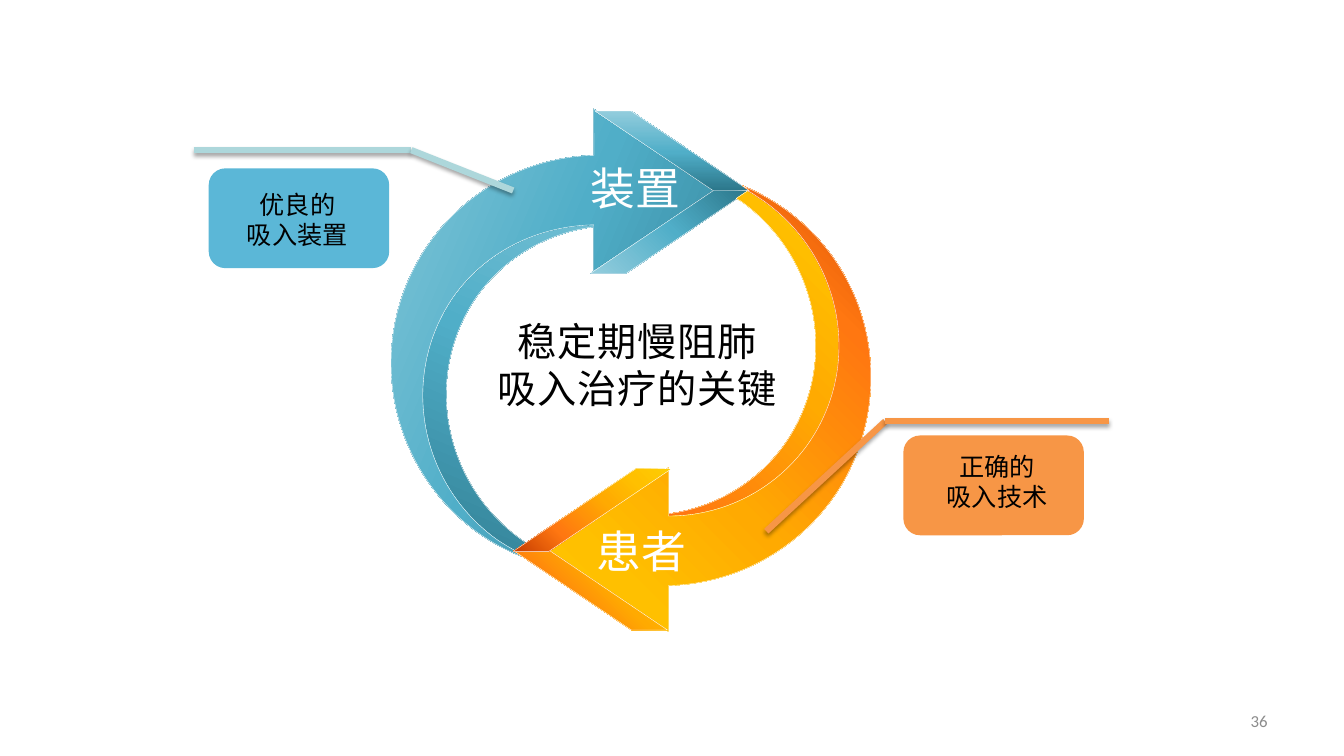
import math

import lxml.etree
import pptx
import pptx.dml.color
import pptx.enum.shapes
import pptx.enum.text
import pptx.oxml.ns
import pptx.util

Inches = pptx.util.Inches
Pt = pptx.util.Pt
qn = pptx.oxml.ns.qn
SHAPE = pptx.enum.shapes.MSO_SHAPE
ALIGN = pptx.enum.text.PP_ALIGN
ANCHOR = pptx.enum.text.MSO_ANCHOR
CJK = "Noto Sans CJK SC"


def paint(target, color):
    """Give a fill, line fill or font one solid colour, or a shape (stops, angle or focus)."""
    if isinstance(color, str):
        if hasattr(target, "solid"):
            target.solid()
            target = target.fore_color
        else:
            target = target.color
        target.rgb = pptx.dml.color.RGBColor.from_string(color)
        return
    stops, direction = color
    target.fill.gradient()
    gradient = target._element.spPr.find(qn("a:gradFill"))
    stop_list = gradient.find(qn("a:gsLst"))
    for stop in list(stop_list):
        stop_list.remove(stop)
    for position, rgb in stops:
        stop = lxml.etree.SubElement(stop_list, qn("a:gs"), pos=str(position * 1000))
        lxml.etree.SubElement(stop, qn("a:srgbClr"), val=rgb)
    if isinstance(direction, dict):
        gradient.remove(gradient.find(qn("a:lin")))
        circle = lxml.etree.SubElement(gradient, qn("a:path"), path="circle")
        lxml.etree.SubElement(circle, qn("a:fillToRect"), direction)
    else:
        target.fill.gradient_angle = (360 - direction) % 360
    target.shadow.inherit = False
    paint(target.line.fill, "FFFFFF")
    target.line.width = Pt(0.25)


def add_text(box, lines, size, color="000000", font=CJK, align=ALIGN.CENTER,
             anchor=ANCHOR.TOP, wrap=True, spacing=0):
    frame = slide.shapes.add_textbox(*map(Inches, box)).text_frame
    frame.word_wrap = wrap
    frame.vertical_anchor = anchor
    for number, line in enumerate(lines):
        paragraph = frame.add_paragraph() if number else frame.paragraphs[0]
        paragraph.alignment = align
        run = paragraph.add_run()
        run.text = line
        run.font.size = Pt(size)
        paint(run.font, color)
        run.font.name = font
        properties = run.font._element
        lxml.etree.SubElement(properties, qn("a:ea"), typeface=font)
        if spacing:
            properties.set("spc", str(spacing))


prs = pptx.Presentation()
prs.slide_width, prs.slide_height = Inches(13.33), Inches(7.5)
slide = prs.slides.add_slide(prs.slide_layouts[6])

# Outlines as seen on the slide: two numbers make a straight step, six a Bézier step
blue_inner = [
    (6.01, 1.55), (6.01, 2.24), (5.51, 2.27, 5.04, 2.51, 4.73, 2.94),
    (4.19, 3.72, 4.39, 4.8, 5.18, 5.36), (5.29, 5.44, 5.41, 5.5, 5.53, 5.55),
    (5.61, 5.58), (5.64, 5.59, 5.67, 5.6, 5.7, 5.61), (5.64, 5.59), (5.35, 5.59),
    (5.12, 5.48), (4.75, 5.25), (4.41, 4.88), (4.13, 4.2), (4.19, 4.16),
    (4.04, 3.64, 4.1, 3.07, 4.38, 2.58), (4.72, 1.99, 5.33, 1.6, 6.01, 1.55)]
blue_arrow = [
    (5.89, 1.08), (7.12, 1.9), (5.89, 2.71), (5.89, 2.23),
    (5.35, 2.24, 4.83, 2.48, 4.5, 2.94), (3.96, 3.72, 4.15, 4.8, 4.94, 5.36),
    (5.11, 5.47, 5.28, 5.56, 5.47, 5.61), (4.93, 5.49, 4.46, 5.15, 4.17, 4.66),
    (3.79, 4.02, 3.78, 3.23, 4.15, 2.58), (4.51, 1.95, 5.17, 1.56, 5.89, 1.54)]
orange_inner = [
    (7.42, 1.89), (7.76, 2.1), (8.1, 2.47), (8.39, 3.15), (8.33, 3.19),
    (8.48, 3.71, 8.41, 4.28, 8.13, 4.77), (7.79, 5.36, 7.18, 5.75, 6.5, 5.8), (6.5, 5.11),
    (7, 5.08, 7.47, 4.84, 7.78, 4.41), (8.33, 3.63, 8.13, 2.55, 7.34, 1.99), (7.3, 1.97)]
orange_arrow = [
    (7.36, 1.84), (7.77, 2.01, 8.12, 2.3, 8.35, 2.69), (8.73, 3.33, 8.73, 4.12, 8.37, 4.77),
    (8.01, 5.4, 7.35, 5.79, 6.63, 5.81), (6.63, 6.27), (5.4, 5.45), (6.63, 4.64),
    (6.63, 5.12), (7.16, 5.12, 7.68, 4.87, 8.01, 4.41), (8.56, 3.63, 8.36, 2.55, 7.57, 1.99),
    (7.52, 1.96, 7.47, 1.92, 7.41, 1.89), (7.43, 1.89)]
blues = [(0, "2C778B"), (48, "50AEC8"), (100, "93CDDD")]
oranges = [(0, "C73E01"), (27, "FF7711"), (59, "FFAA01"), (80, "FFC000"), (100, "FECE02")]
bottom_left = {"t": "100000", "r": "100000"}
top_right = {"l": "100000", "b": "100000"}

# Each arrow: inner band, face, then the two bevels of its head
arrows = [
    (blues, 293, [(blue_inner, (3.33, 2.21, 3.98, 2.41), 0),
                  (blue_arrow, (3.05, 1.94, 4.36, 2.48), 270)],
     0, [((5.9, 1.1), 270), ((5.86, 1.89), 135)]),
    (oranges, 113, [(orange_inner, (5.46, 3.11, 3.96, 1.87), bottom_left),
                    (orange_arrow, (5.11, 2.94, 4.36, 2.48), top_right)],
     180, [((5.09, 5.46), bottom_left), ((5.09, 4.65), bottom_left)])]
for stops, tilt, bands, turn, bevels in arrows:
    cos, sin = math.cos(math.radians(tilt)), math.sin(math.radians(tilt))
    for outline, (left, top, width, height), direction in bands:
        # Turn every point back into the untilted frame of its band
        steps = []
        for step in outline:
            offsets = [(x - left - width / 2, y - top - height / 2)
                       for x, y in zip(step[::2], step[1::2])]
            steps.append([(Inches(width / 2 + dx * cos + dy * sin),
                           Inches(height / 2 - dx * sin + dy * cos)) for dx, dy in offsets])
        corners = [points[-1] for points in steps]
        builder = slide.shapes.build_freeform(*corners[0], scale=1.0)
        builder.add_line_segments(corners[1:], close=True)
        band = builder.convert_to_shape()
        band.left, band.top, band.width, band.height = map(Inches, (left, top, width, height))
        band.rotation = tilt
        contour = band._element.spPr.find(".//" + qn("a:path"))
        contour.set("w", str(Inches(width)))
        contour.set("h", str(Inches(height)))
        for old_step in list(contour):
            contour.remove(old_step)
        for number, points in enumerate(steps):
            tag = "a:cubicBezTo" if len(points) == 3 else "a:lnTo" if number else "a:moveTo"
            drawn_step = lxml.etree.SubElement(contour, qn(tag))
            for x, y in points:
                lxml.etree.SubElement(drawn_step, qn("a:pt"), x=str(x), y=str(y))
        lxml.etree.SubElement(contour, qn("a:close"))
        paint(band, (stops, direction))
    for (corner, direction), size, flipped in zip(bevels, ((1.53, 0.79), (1.57, 0.82)),
                                                  (True, False)):
        bevel = slide.shapes.add_shape(SHAPE.PARALLELOGRAM, *map(Inches, corner + size))
        bevel.adjustments[0] = 1.483
        bevel.rotation = turn
        if flipped:
            bevel._element.spPr.find(qn("a:xfrm")).set("flipH", "1")
        paint(bevel, (stops, direction))

for left, top, word in ((5.75, 1.54, "装置"), (5.81, 5.14, "患者")):
    add_text((left, top, 1.1, 0.64), [word], 32, "FFFFFF", anchor=ANCHOR.MIDDLE, wrap=False)

callouts = [
    ((2.07, 1.67), "5BB7D7", (1.75, 1.83), ["优良的", "吸入装置"],
     "ADD7DB", [(1.92, 1.49), (4.08, 1.49), (5.09, 1.89)]),
    ((8.96, 4.32), "F79646", (8.69, 4.43), ["正确的", "吸入技术"],
     "F79646", [(7.6, 5.27), (8.78, 4.18), (11, 4.18)])]
for corner, color, text_corner, lines, leader_color, bends in callouts:
    card = slide.shapes.add_shape(SHAPE.ROUNDED_RECTANGLE, *map(Inches, corner + (1.79, 0.99)))
    card.shadow.inherit = False
    paint(card.fill, color)
    card.line.fill.background()
    add_text(text_corner + (2.4, 0.71), lines, 18)
    for start, end in zip(bends, bends[1:]):
        leader = slide.shapes.add_connector(
            pptx.enum.shapes.MSO_CONNECTOR.STRAIGHT, *map(Inches, start + end))
        paint(leader.line.fill, leader_color)
        leader.line.width = Pt(4.5)
        effects = lxml.etree.SubElement(leader._element.spPr, qn("a:effectLst"))
        shadow = lxml.etree.SubElement(
            effects, qn("a:outerShdw"), blurRad=str(Pt(3.1)), dist=str(Pt(1.8)),
            dir="5400000", rotWithShape="0")
        shade = lxml.etree.SubElement(shadow, qn("a:srgbClr"), val="000000")
        lxml.etree.SubElement(shade, qn("a:alpha"), val="35000")

add_text((4.82, 3.1, 3, 1.04), ["稳定期慢阻肺", "吸入治疗的关键"], 28, spacing=60)
add_text((9.56, 6.95, 3.11, 0.4), ["36"], 12, "8C8C8C", "Calibri", ALIGN.RIGHT, ANCHOR.MIDDLE)

prs.save("out.pptx")
